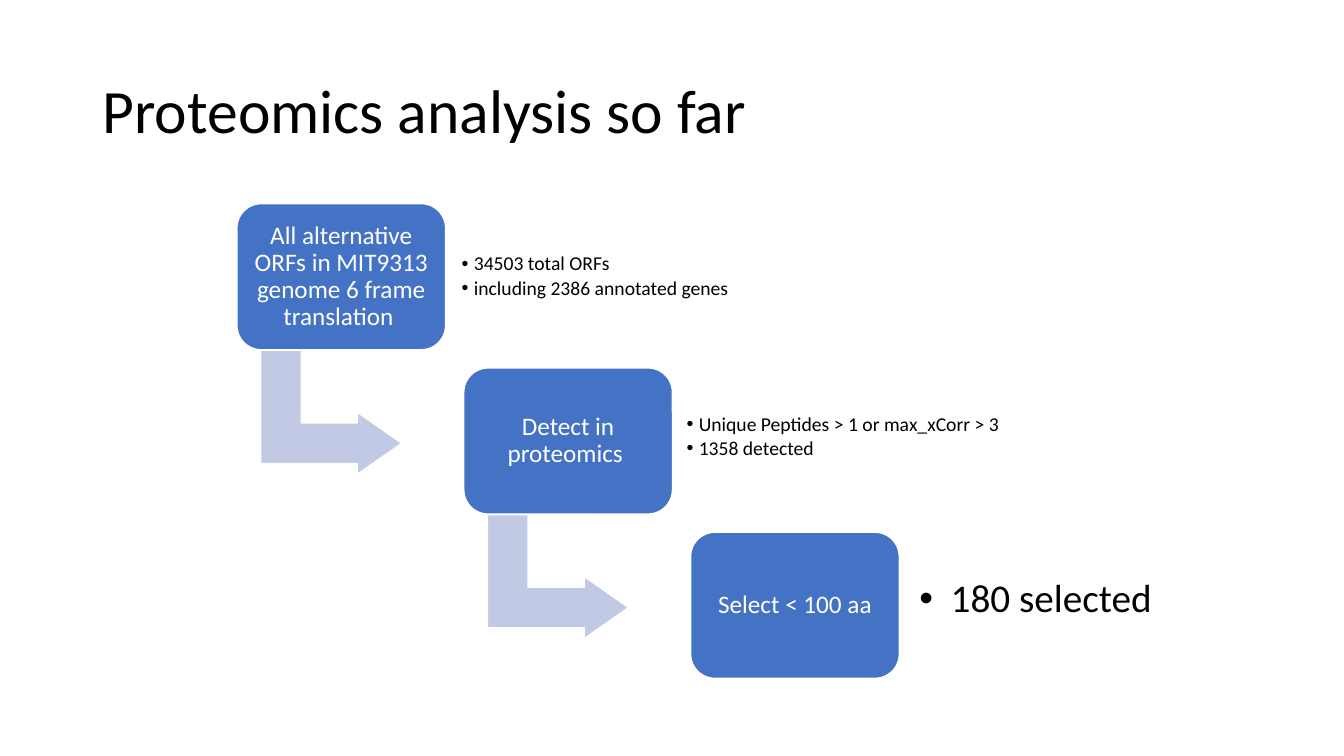
from dataclasses import dataclass

from lxml.etree import SubElement
from pptx import Presentation
from pptx.dml.color import RGBColor
from pptx.enum.shapes import MSO_SHAPE
from pptx.enum.text import MSO_ANCHOR, PP_ALIGN
from pptx.oxml.ns import qn
from pptx.util import Inches, Pt


@dataclass(frozen=True)
class Theme:
    font: str = "Calibri"
    text: str = "000000"
    white: str = "FFFFFF"
    card: str = "4472C4"
    arrow: str = "C1C9E4"
    title_size: int = 44
    card_size: int = 18
    note_size: int = 14
    result_size: int = 28


THEME = Theme()
LEFT, TOP = 2.35, 2.02
COL, ROW = 2.25, 1.63
CARD_W, CARD_H = 2.07, 1.45
ARROW_W, ARROW_H = 1.23, 1.4
NOTE_H = 1.17

STEPS = [
    dict(label="All alternative ORFs in MIT9313 genome 6 frame translation ",
         notes=["34503 total ORFs", "including 2386 annotated genes"],
         offset=(2.16, 0.14), width=3.74, size=THEME.note_size,
         inset=0.07, indent=0.12),
    dict(label="Detect in proteomics ",
         notes=["Unique Peptides > 1 or max_xCorr > 3", "1358 detected"],
         offset=(2.14, 0.1), width=3.92, size=THEME.note_size,
         inset=0.07, indent=0.12),
    dict(label="Select < 100 aa", notes=["180 selected"],
         offset=(2.12, 0.09), width=2.63, size=THEME.result_size,
         inset=0.15, indent=0.31),
]


def grid(col, row, dx=0, dy=0):
    return LEFT + col * COL + dx, TOP + row * ROW + dy


def box(x, y, w, h):
    return [Inches(v) for v in (x, y, w, h)]


def set_bullet(p, indent):
    pPr = p._p.get_or_add_pPr()
    pPr.set("marL", str(Inches(indent)))
    pPr.set("indent", str(-Inches(indent)))
    SubElement(pPr, qn("a:buFont"), typeface="Arial")
    SubElement(pPr, qn("a:buChar"), char="•")


def write(sp, lines, size, color=THEME.text, align=PP_ALIGN.LEFT,
          inset=(0.1, 0.05), indent=0, after=0):
    tf = sp.text_frame
    tf.word_wrap = True
    tf.vertical_anchor = MSO_ANCHOR.MIDDLE
    tf.margin_left = tf.margin_right = Inches(inset[0])
    tf.margin_top = tf.margin_bottom = Inches(inset[1])
    for i, line in enumerate(lines):
        p = tf.add_paragraph() if i else tf.paragraphs[0]
        p.alignment = align
        p.line_spacing = 0.9
        p.space_after = Pt(after)
        if indent:
            set_bullet(p, indent)
        r = p.add_run()
        r.text = line
        r.font.name = THEME.font
        r.font.size = Pt(size)
        r.font.color.rgb = RGBColor.from_string(color)


def add_block(s, kind, bounds, fill, adjustments):
    sp = s.shapes.add_shape(kind, *box(*bounds))
    sp.shadow.inherit = False
    sp.fill.solid()
    sp.fill.fore_color.rgb = RGBColor.from_string(fill)
    sp.line.color.rgb = RGBColor.from_string(THEME.white)
    sp.line.width = Pt(1)
    for i, value in enumerate(adjustments):
        sp.adjustments[i] = value
    return sp


def add_arrow(s, n):
    x, y = grid(n, n, 0.32, 1.37)
    sp = add_block(s, MSO_SHAPE.BENT_UP_ARROW, (x, y, ARROW_W, ARROW_H),
                   THEME.arrow, (0.328, 0.25, 0.358))
    sp.rotation = 90


def add_card(s, n, label):
    sp = add_block(s, MSO_SHAPE.ROUNDED_RECTANGLE,
                   (*grid(n, n), CARD_W, CARD_H), THEME.card, (0.167,))
    write(sp, [label], THEME.card_size, color=THEME.white,
          align=PP_ALIGN.CENTER, inset=(0.07, 0.07))


def add_notes(s, n, step):
    x, y = grid(n, n, *step["offset"])
    sp = s.shapes.add_textbox(*box(x, y, step["width"], NOTE_H))
    write(sp, step["notes"], step["size"], inset=(step["inset"],) * 2,
          indent=step["indent"], after=round(step["size"] * 0.15, 1))


def main():
    prs = Presentation()
    prs.slide_width, prs.slide_height = Inches(13.33), Inches(7.5)
    s = prs.slides.add_slide(prs.slide_layouts[6])
    title = s.shapes.add_textbox(*box(0.92, 0.4, 11.5, 1.45))
    write(title, ["Proteomics analysis so far"], THEME.title_size)
    for n, step in enumerate(STEPS):
        if n < len(STEPS) - 1:
            add_arrow(s, n)
        add_card(s, n, step["label"])
        add_notes(s, n, step)
    prs.save("out.pptx")


if __name__ == "__main__":
    main()
